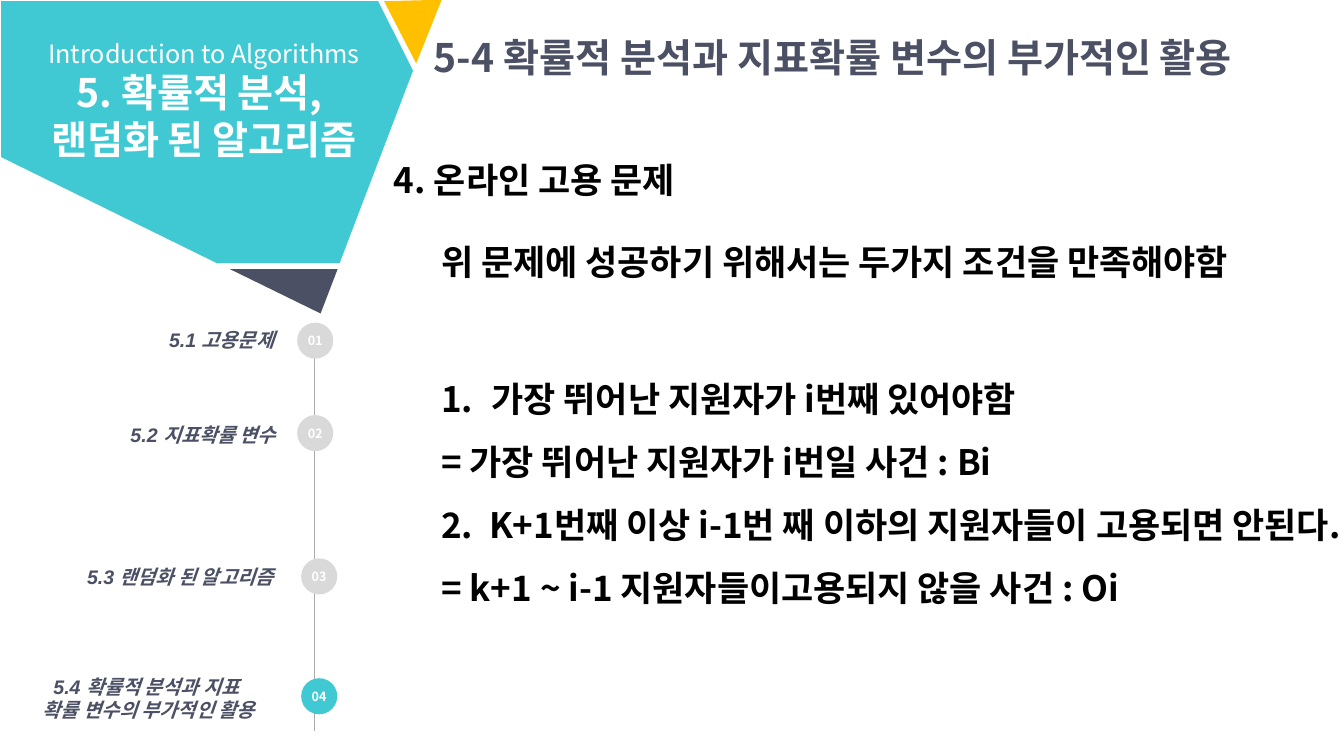
from dataclasses import dataclass
from typing import Any

from lxml import etree
from pptx import Presentation
from pptx.dml.color import RGBColor
from pptx.enum.shapes import MSO_CONNECTOR, MSO_SHAPE
from pptx.enum.text import MSO_ANCHOR, MSO_AUTO_SIZE, PP_ALIGN
from pptx.oxml.ns import qn
from pptx.util import Cm, Pt

LEFT, CENTER, RIGHT = PP_ALIGN.LEFT, PP_ALIGN.CENTER, PP_ALIGN.RIGHT
MIDDLE = MSO_ANCHOR.MIDDLE
FIT_TEXT = MSO_AUTO_SIZE.SHAPE_TO_FIT_TEXT
OVAL = MSO_SHAPE.OVAL
STRAIGHT = MSO_CONNECTOR.STRAIGHT

COLORS = {
    "teal": "41C9D3",
    "navy": "4C5064",
    "amber": "FFC000",
    "gray": "D9D9D9",
    "rail": "AFABAB",
    "white": "FFFFFF",
    "black": "000000",
}
KOREAN_FONT = "Noto Sans CJK KR"
MARKER_SIZE = 0.91

SUBJECT = {"size": Pt(18), "name": KOREAN_FONT}
HEADING = {"size": Pt(28), "name": KOREAN_FONT, "bold": True}
BODY = {"size": Pt(25), "name": KOREAN_FONT, "bold": True}
MARKER = {"size": Pt(9), "name": KOREAN_FONT, "bold": True}
SECTION = {"size": Pt(14), "name": "Arial", "bold": True, "italic": True}


@dataclass(frozen=True)
class Line:
    text: str
    font: dict[str, Any]
    color: str
    align: Any = LEFT
    spacing: float = 1.0
    numbered: bool = False


@dataclass(frozen=True)
class TextBlock:
    """Lines in a box given as left, top, width and height in cm."""
    box: tuple[float, float, float, float]
    lines: list[Line]


@dataclass(frozen=True)
class Facet:
    color: str
    corners: list[tuple[float, float]]


@dataclass(frozen=True)
class Stop:
    """One numbered marker on the chapter timeline."""
    left: float
    top: float
    color: str = "gray"


def body_line(text: str, numbered: bool = False) -> Line:
    return Line(text, BODY, "black", spacing=1.5, numbered=numbered)


def section_line(text: str, align: Any = RIGHT) -> Line:
    return Line(text, SECTION, "navy", align)


FACETS = [
    Facet("amber", [(10.95, 0), (11.13, 0), (10.49, 1.6), (9.68, 0.03)]),
    Facet("teal", [(0.03, 0.03), (9.53, 0.03), (10.41, 1.78),
                   (8.56, 6.63), (5.46, 6.63), (0.03, 3.96)]),
    Facet("navy", [(5.79, 6.78), (8.51, 6.78), (8.08, 7.9)]),
]

STOPS = [
    Stop(7.49, 8.13),
    Stop(7.49, 10.46),
    Stop(7.59, 14.07),
    Stop(7.59, 17.09, "teal"),
]

TEXT_BLOCKS = [
    TextBlock((-0.03, 0.84, 10.34, 3.43), [
        Line("Introduction to Algorithms", SUBJECT, "white", CENTER),
        Line("5. 확률적 분석, ", HEADING, "white", CENTER),
        Line("랜덤화 된 알고리즘", HEADING, "white", CENTER),
    ]),
    TextBlock((-0.28, 8.15, 7.44, 0.86), [section_line("5.1 고용문제")]),
    TextBlock((-0.23, 10.52, 7.44, 0.86), [section_line("5.2 지표확률 변수")]),
    TextBlock((1.02, 14.1, 6.12, 0.86), [section_line("5.3 랜덤화 된 알고리즘")]),
    TextBlock((-3.96, 16.87, 15.42, 1.45), [
        section_line("5.4 확률적 분석과 지표 ", CENTER),
        section_line("확률 변수의 부가적인 활용", CENTER),
    ]),
    TextBlock((10.46, 0.71, 24.28, 1.45), [
        Line(" 5-4 확률적 분석과 지표확률 변수의 부가적인 활용", HEADING, "navy"),
    ]),
    TextBlock((9.68, 3.33, 23.57, 1.65), [body_line("4. 온라인 고용 문제")]),
    TextBlock((10.87, 5.41, 22.96, 1.65), [
        body_line("위 문제에 성공하기 위해서는 두가지 조건을 만족해야함"),
    ]),
    TextBlock((10.87, 8.86, 22.96, 8.08), [
        body_line("가장 뛰어난 지원자가 i번째 있어야함", numbered=True),
        body_line("= 가장 뛰어난 지원자가 i번일 사건 : Bi"),
        body_line("2.  K+1번째 이상 i-1번 째 이하의 지원자들이 고용되면 안된다."),
        body_line("= k+1 ~ i-1 지원자들이고용되지 않을 사건 : Oi"),
    ]),
]


def rgb(color: str) -> RGBColor:
    return RGBColor.from_string(COLORS[color])


def paint(shape: Any, color: str) -> None:
    """Give a shape a flat fill without outline or shadow."""
    shape.fill.solid()
    shape.fill.fore_color.rgb = rgb(color)
    shape.line.fill.background()
    shape.shadow.inherit = False


def write_line(paragraph: Any, line: Line) -> None:
    paragraph.alignment = line.align
    paragraph.line_spacing = line.spacing
    if line.numbered:
        properties = paragraph._p.get_or_add_pPr()
        properties.set("marL", str(Cm(1.27)))
        properties.set("indent", str(-Cm(1.27)))
        etree.SubElement(properties, qn("a:buFont"), typeface="+mj-lt")
        etree.SubElement(properties, qn("a:buAutoNum"), type="arabicPeriod")
    run = paragraph.add_run()
    run.text = line.text
    for attribute, value in line.font.items():
        setattr(run.font, attribute, value)
    run.font.color.rgb = rgb(line.color)
    etree.SubElement(run._r.get_or_add_rPr(), qn("a:ea"), typeface=KOREAN_FONT)


def write_lines(frame: Any, lines: list[Line]) -> None:
    for index, line in enumerate(lines):
        write_line(frame.add_paragraph() if index else frame.paragraphs[0], line)


def add_rail(shapes: Any) -> None:
    rail = shapes.add_connector(STRAIGHT, Cm(7.92), Cm(8.76), Cm(7.92), Cm(18.42))
    rail.line.color.rgb = rgb("rail")
    rail.line.width = Pt(0.5)
    etree.SubElement(rail._element.spPr, qn("a:effectLst"))


def add_facet(shapes: Any, facet: Facet) -> None:
    start, *others = [(Cm(x), Cm(y)) for x, y in facet.corners]
    outline = shapes.build_freeform(*start)
    outline.add_line_segments(others)
    paint(outline.convert_to_shape(), facet.color)


def add_stop(shapes: Any, number: int, stop: Stop) -> None:
    marker = shapes.add_shape(OVAL, Cm(stop.left), Cm(stop.top),
                              Cm(MARKER_SIZE), Cm(MARKER_SIZE))
    paint(marker, stop.color)
    frame = marker.text_frame
    frame.vertical_anchor = MIDDLE
    for side in ("left", "top", "right", "bottom"):
        setattr(frame, f"margin_{side}", 0)
    write_lines(frame, [Line(f"{number:02}", MARKER, "white", CENTER)])


def add_text_block(shapes: Any, block: TextBlock) -> None:
    frame = shapes.add_textbox(*map(Cm, block.box)).text_frame
    frame.word_wrap = True
    frame.auto_size = FIT_TEXT
    write_lines(frame, block.lines)


def main() -> None:
    deck = Presentation()
    deck.slide_width, deck.slide_height = Cm(33.87), Cm(19.05)
    shapes = deck.slides.add_slide(deck.slide_layouts[6]).shapes
    add_rail(shapes)
    banner = shapes.add_group_shape()
    for facet in FACETS:
        add_facet(banner.shapes, facet)
    for number, stop in enumerate(STOPS, start=1):
        add_stop(shapes, number, stop)
    for block in TEXT_BLOCKS:
        add_text_block(shapes, block)
    deck.save("out.pptx")


if __name__ == "__main__":
    main()
